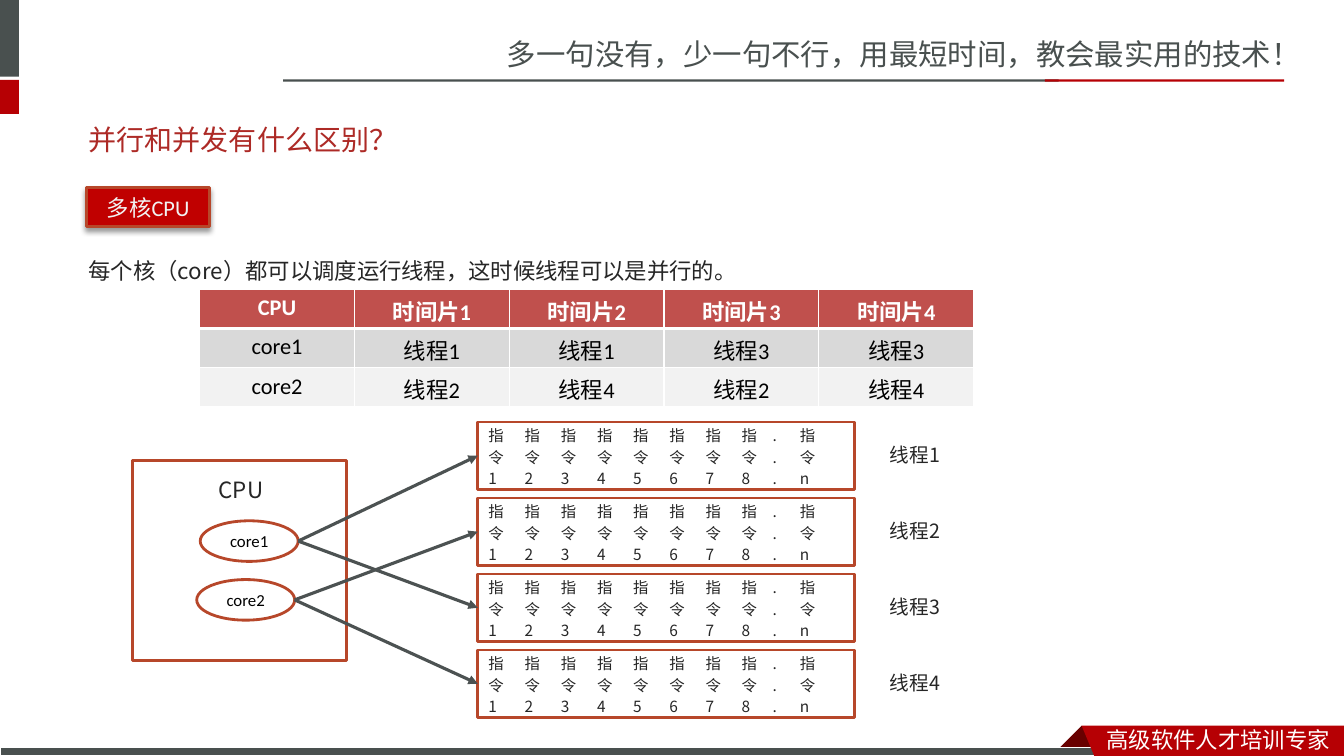
from dataclasses import dataclass

from lxml import etree
from pptx import Presentation
from pptx import util as u
from pptx.dml.color import RGBColor
from pptx.enum import shapes, text
from pptx.oxml.ns import qn

Pt = u.Pt
LEFT, CENTER = text.PP_ALIGN.LEFT, text.PP_ALIGN.CENTER
RECT, OVAL = shapes.MSO_SHAPE.RECTANGLE, shapes.MSO_SHAPE.OVAL


@dataclass(frozen=True)
class Theme:
    slate: str = "49504F"
    arrow: str = "4C5252"
    red: str = "B60004"
    dark_red: str = "680000"
    title: str = "AD2A26"
    badge: str = "C00000"
    outline: str = "B7472A"
    ink: str = "262626"
    black: str = "000000"
    white: str = "FFFFFF"
    pale: str = "F2F2F2"
    band: str = "D9D9D9"
    table_head: str = "C0504D"
    latin: str = "Calibri"
    cjk: str = "Noto Sans CJK SC"
    body: str = "Noto Sans CJK JP"
    slogan_size: float = 21
    title_size: float = 20
    body_size: float = 16
    label_size: float = 14
    core_size: float = 12
    cell_size: float = 11
    line_ratio: float = 1.22


T = Theme()


def rgb(value):
    return RGBColor.from_string(value)


def write(p, words, size, color, font=T.body, align=LEFT, bold=False):
    p.alignment = align
    r = p.add_run()
    r.text = words
    for key, value in {"size": Pt(size), "name": font, "bold": bold}.items():
        setattr(r.font, key, value)
    r.font.color.rgb = rgb(color)
    east_asian = T.cjk if font == T.latin else font
    etree.SubElement(r._r.get_or_add_rPr(), qn("a:ea"), typeface=east_asian)


def label(parent, box, lines, size, color=T.ink, font=T.body, spacing=T.line_ratio):
    """Text box with one paragraph per item and a fixed line height."""
    tf = parent.shapes.add_textbox(*map(Pt, box)).text_frame
    tf.word_wrap = True
    for i, words in enumerate(lines):
        p = tf.paragraphs[0] if i == 0 else tf.add_paragraph()
        p.line_spacing = Pt(round(size * spacing, 1))
        p.space_after = Pt(2)
        write(p, words, size, color, font)


def paint(sp, fill=None, line=None, width=2):
    sp.shadow.inherit = False
    if fill:
        sp.fill.solid()
        sp.fill.fore_color.rgb = rgb(fill)
    else:
        sp.fill.background()
    if line:
        sp.line.color.rgb = rgb(line)
        sp.line.width = Pt(width)
    else:
        sp.line.fill.background()


def shape(parent, kind, box, fill=None, line=None, width=2):
    sp = parent.shapes.add_shape(kind, *map(Pt, box))
    paint(sp, fill, line, width)
    return sp


def outline(parent, points, fill):
    start, *rest = [(Pt(x), Pt(y)) for x, y in points]
    builder = parent.shapes.build_freeform(*start, scale=1.0)
    builder.add_line_segments(rest, close=True)
    paint(builder.convert_to_shape(), fill)


def centered(sp, words, size, color):
    tf = sp.text_frame
    tf.vertical_anchor = text.MSO_ANCHOR.MIDDLE
    tf.margin_left = tf.margin_right = 0
    write(tf.paragraphs[0], words, size, color, T.latin, CENTER)


def header(s, x, y, w):
    label(s, (355, y, 605, 34), ["多一句没有，少一句不行，用最短时间，教会最实用的技术！"],
          T.slogan_size, T.slate, T.cjk, 1.28)
    for box, fill in (((0, 0, 13.5, 54.7), T.slate), ((0, 57, 13.5, 24.4), T.red),
                      ((x, y + 36.5, w - 161, 1.6), T.slate),
                      ((x + w - 171, y + 36.5, 171, 1.6), T.red)):
        shape(s, RECT, box, fill)


def footer(s, x, y, right, bottom):
    outline(s, [(x, y), (x + 16, y + 16), (x - 16, y + 16)], T.dark_red)
    shape(s, RECT, (0, y + 15.5, x + 18, bottom - y - 15.5), T.slate, T.white, 0.75)
    outline(s, [(x, y), (right, y), (right, bottom), (x + 9, bottom)], T.red)
    label(s, (x + 10.8, y - 3.6, right - x - 10.8, 26.6), ["高级软件人才培训专家"],
          T.body_size, T.white, T.cjk)


def title(s, box):
    sp = s.shapes.title
    for key, value in zip(("left", "top", "width", "height"), box):
        setattr(sp, key, Pt(value))
    sp.text_frame.vertical_anchor = text.MSO_ANCHOR.MIDDLE
    write(sp.text_frame.paragraphs[0], "并行和并发有什么区别？", T.title_size, T.title, T.latin)


def badge(s, box):
    sp = shape(s, RECT, box, T.badge, T.outline)
    effects = sp._element.spPr.find(qn("a:effectLst"))
    shadow = etree.SubElement(effects, qn("a:outerShdw"), blurRad=str(Pt(4)),
                              dist=str(Pt(3)), dir="5400000", rotWithShape="0")
    color = etree.SubElement(shadow, qn("a:srgbClr"), val=T.black)
    etree.SubElement(color, qn("a:alpha"), val="40000")
    centered(sp, "多核CPU", T.body_size, T.pale)


def border(cell, bottom):
    tc_pr = cell._tc.get_or_add_tcPr()
    for i, (side, width) in enumerate((("L", 1), ("R", 1), ("T", 1), ("B", bottom))):
        ln = etree.Element(qn(f"a:ln{side}"), w=str(Pt(width)))
        fill = etree.SubElement(ln, qn("a:solidFill"))
        etree.SubElement(fill, qn("a:srgbClr"), val=T.white)
        tc_pr.insert(i, ln)


def schedule(s, box):
    rows = (["CPU"] + [f"时间片{n}" for n in range(1, 5)],
            ["core1"] + [f"线程{n}" for n in (1, 1, 3, 3)],
            ["core2"] + [f"线程{n}" for n in (2, 4, 2, 4)])
    table = s.shapes.add_table(len(rows), len(rows[0]), *map(Pt, box)).table
    for i, (words, fill) in enumerate(zip(rows, (T.table_head, T.band, T.pale))):
        head = i == 0
        for j, word in enumerate(words):
            cell = table.cell(i, j)
            cell.fill.solid()
            cell.fill.fore_color.rgb = rgb(fill)
            border(cell, 3 if head else 1)
            write(cell.text_frame.paragraphs[0], word, T.body_size,
                  T.white if head else T.black, T.latin, CENTER, head)


def cpu(s, x, y, w, h):
    """Draws the CPU box and returns its two cores."""
    group = s.shapes.add_group_shape()
    shape(group, RECT, (x, y, w, h), line=T.outline)
    label(group, (x + 54.7, y + 7.2, 80, 33), ["CPU"], T.body_size)
    cores = []
    for name, dx, dy in (("core1", 48.5, 43), ("core2", 46, 85)):
        core = shape(group, OVAL, (x + dx, y + dy, 70, 29), line=T.outline)
        centered(core, name, T.core_size, T.black)
        cores.append(core)
    return cores


def thread(s, number, x, y, w, h):
    """Draws one thread's instructions and returns their frame."""
    group = s.shapes.add_group_shape()
    frame = shape(group, RECT, (x, y, w, h), line=T.outline)
    columns = [(25.85 * k, f"指令{k + 1}") for k in range(8)]
    columns += [(203, "..."), (222.5, "指令n")]
    for dx, letters in columns:
        label(group, (x + 0.5 + dx, y - 0.7, 25.2, 49.7), letters, T.cell_size)
    label(group, (x + w + 18, y + 11, 80, 29.5), [f"线程{number}"], T.label_size)
    return frame


def arrow(s, core, frame):
    """Arrow from the right end of a core to the left side of a frame."""
    line = s.shapes.add_connector(shapes.MSO_CONNECTOR.STRAIGHT,
                                  core.left + core.width, core.top + core.height // 2,
                                  frame.left, frame.top + frame.height // 2)
    line.line.color.rgb = rgb(T.arrow)
    line.line.width = Pt(2.25)
    ln = line._element.spPr.find(qn("a:ln"))
    etree.SubElement(ln, qn("a:tailEnd"), type="triangle")
    etree.SubElement(line._element.spPr, qn("a:effectLst"))


def comparison_slide(prs):
    s = prs.slides.add_slide(prs.slide_layouts[5])
    header(s, 202.3, 20.2, 715)
    footer(s, 772.6, 518.4, 960, 540)
    title(s, (56.2, 79.2, 842.4, 41))
    label(s, (56.2, 170, 842.4, 71), ["每个核（core）都可以调度运行线程，这时候线程可以是并行的。"],
          T.body_size, spacing=1.5 * T.line_ratio)
    schedule(s, (142.6, 206.6, 553, 84.2))
    cores = cpu(s, 94.5, 329, 153.2, 142.6)
    frames = [thread(s, i + 1, 341.3, 301.4 + 54.3 * i, 269.3, 48.2) for i in range(4)]
    for i, frame in enumerate(frames):
        arrow(s, cores[i % 2], frame)
    badge(s, (61.9, 133.9, 87.8, 28.1))


def main():
    prs = Presentation()
    prs.slide_width, prs.slide_height = Pt(960), Pt(540)
    comparison_slide(prs)
    prs.save("out.pptx")


if __name__ == "__main__":
    main()
